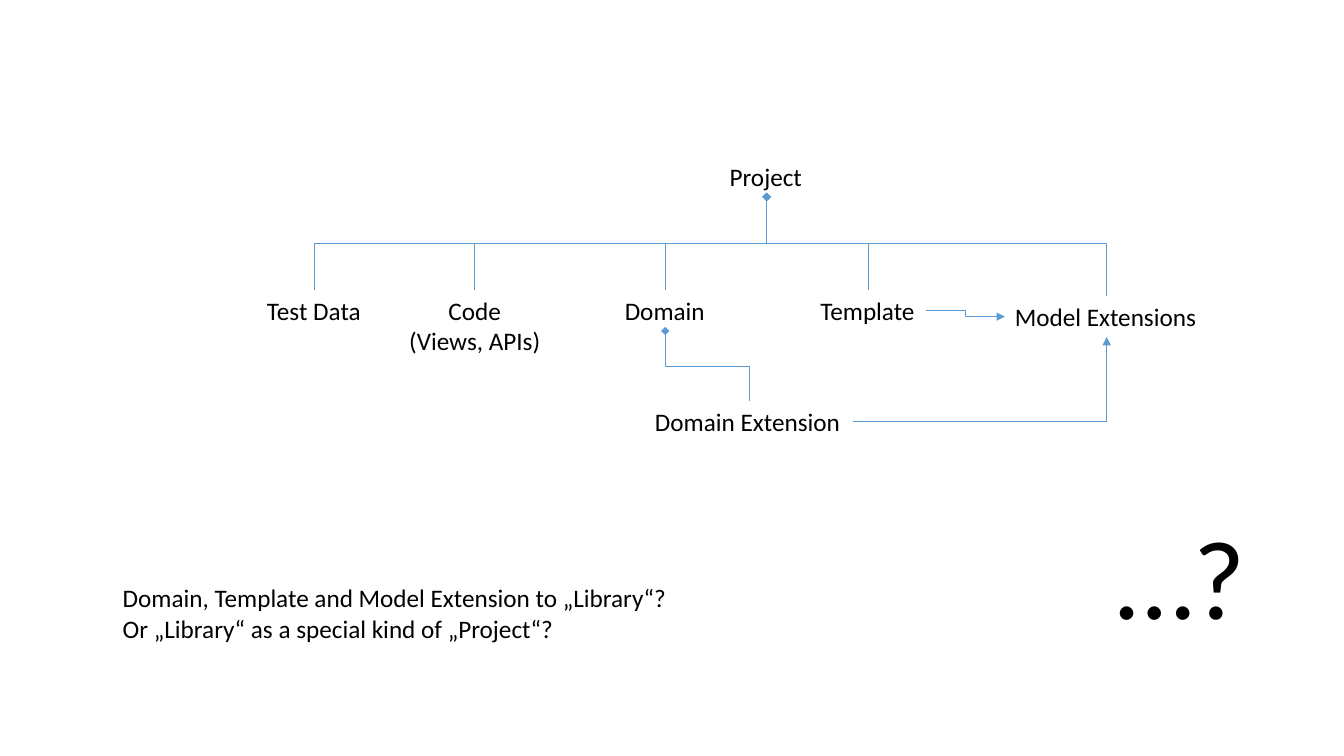
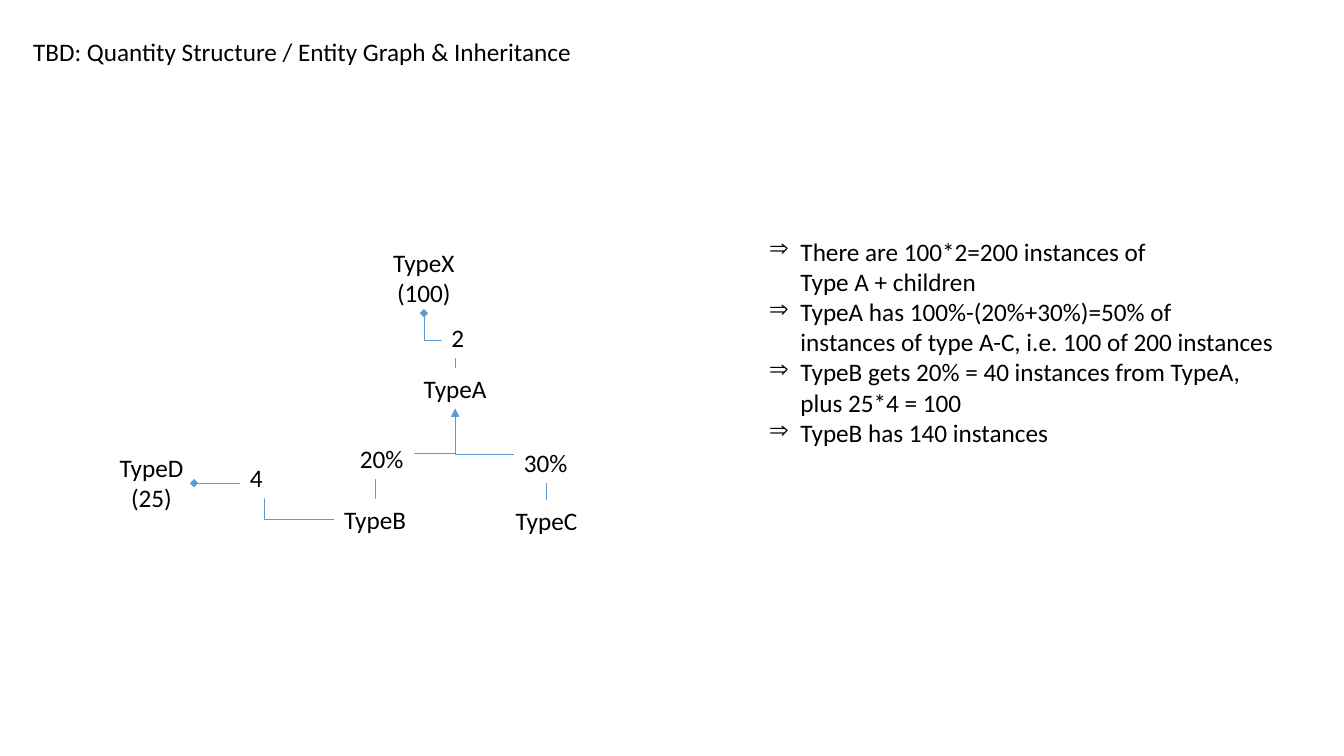
from dataclasses import dataclass
from enum import IntEnum

from pptx import Presentation
from pptx.dml.color import RGBColor
from pptx.enum.shapes import MSO_CONNECTOR
from pptx.enum.text import MSO_AUTO_SIZE, PP_ALIGN
from pptx.oxml.ns import qn
from pptx.util import Pt
from lxml.etree import SubElement


@dataclass(frozen=True)
class Theme:
    font: str = "Calibri"
    ink: RGBColor = RGBColor(0x00, 0x00, 0x00)
    paper: RGBColor = RGBColor(0xFF, 0xFF, 0xFF)
    line: RGBColor = RGBColor(0x5B, 0x9B, 0xD5)
    body_size: float = 18
    huge_size: float = 80
    line_width: float = 0.5
    one_line: float = 29.08
    two_lines: float = 50.9
    bullet: str = "\u21d2"
    bullet_indent: float = 22.5


THEME = Theme()


@dataclass(frozen=True)
class Box:
    left: float
    top: float
    width: float
    height: float = THEME.one_line

    def inside(self, left, top, width, height=THEME.one_line):
        return Box(self.left + left, self.top + top, width, height)


class Side(IntEnum):
    TOP = 0
    LEFT = 1
    BOTTOM = 2
    RIGHT = 3


# Shared parts

def add_bullet(paragraph):
    properties = paragraph._p.get_or_add_pPr()
    indent = Pt(THEME.bullet_indent)
    properties.set("marL", str(indent))
    properties.set("indent", str(-indent))
    SubElement(properties, qn("a:buChar")).set("char", THEME.bullet)


def add_text(slide, box, text, *, size=THEME.body_size, centered=False,
             filled=False, bulleted=False):
    """Each newline starts a paragraph; each vertical tab breaks a line."""
    shape = slide.shapes.add_textbox(
        Pt(box.left), Pt(box.top), Pt(box.width), Pt(box.height))
    if filled:
        shape.fill.solid()
        shape.fill.fore_color.rgb = THEME.paper
    frame = shape.text_frame
    frame.word_wrap = False
    frame.auto_size = MSO_AUTO_SIZE.SHAPE_TO_FIT_TEXT
    frame.text = text
    for paragraph in frame.paragraphs:
        paragraph.alignment = PP_ALIGN.CENTER if centered else PP_ALIGN.LEFT
        if bulleted:
            add_bullet(paragraph)
        for run in paragraph.runs:
            run.font.name = THEME.font
            run.font.size = Pt(size)
            run.font.color.rgb = THEME.ink
    return shape


def turn_vertical(connector):
    """Rotate the elbow so that it leaves its first shape downwards."""
    across = connector.end_x - connector.begin_x
    down = connector.end_y - connector.begin_y
    middle_x = connector.begin_x + across // 2
    middle_y = connector.begin_y + down // 2
    direction = 1 if across > 0 else -1
    connector.begin_x = middle_x + direction * down // 2
    connector.end_x = middle_x - direction * down // 2
    connector.begin_y = middle_y - abs(across) // 2
    connector.end_y = middle_y + abs(across) // 2
    connector.rotation = 270 if across > 0 else 90


def add_elbow(slide, start, end, sides=(Side.BOTTOM, Side.TOP), *,
              head=None, tail=None, bend=0.5):
    connector = slide.shapes.add_connector(MSO_CONNECTOR.ELBOW, 0, 0, 0, 0)
    connector.begin_connect(start, sides[0])
    connector.end_connect(end, sides[1])
    geometry = connector._element.spPr.find(qn("a:prstGeom"))
    if sides == (Side.BOTTOM, Side.TOP):
        turn_vertical(connector)
    if sides == (Side.RIGHT, Side.BOTTOM):
        geometry.set("prst", "bentConnector2")
    elif bend != 0.5:
        guide = SubElement(geometry.find(qn("a:avLst")), qn("a:gd"))
        guide.set("name", "adj1")
        guide.set("fmla", f"val {round(bend * 100000)}")
    connector.line.color.rgb = THEME.line
    connector.line.width = Pt(THEME.line_width)
    outline = connector.line._get_or_add_ln()
    for tag, kind in (("a:headEnd", head), ("a:tailEnd", tail)):
        if kind:
            SubElement(outline, qn(tag)).set("type", kind)
    SubElement(connector._element.spPr, qn("a:effectLst"))
    return connector


# Slide 1: project structure

def build_project_tree(slide, box):
    row = 95.76
    half_gap = (row - THEME.one_line) / 2

    def node(text, left, top, width, **options):
        return add_text(slide, box.inside(left, top, width), text, **options)

    project = node("Project", 330.5, 0, 67)
    test_data = node("Test Data", 0, row, 82)
    code = add_text(slide, box.inside(100.8, row, 109.4, THEME.two_lines),
                    "Code\n(Views, APIs)", centered=True)
    domain = node("Domain", 255.6, row, 72)
    template = node("Template", 395.3, row, 82.8)
    model_extensions = node("Model Extensions", 534.2, row + 4.3, 145.4)
    domain_extension = node("Domain Extension", 277.2, 175, 148.3)

    # All branches turn at the same height
    for child in (test_data, code, domain, template, model_extensions):
        drop = child.top - project.top - project.height
        add_elbow(slide, project, child, head="diamond",
                  bend=Pt(half_gap) / drop)
    add_elbow(slide, domain, domain_extension, head="diamond")
    add_elbow(slide, template, model_extensions,
              (Side.RIGHT, Side.LEFT), tail="triangle")
    add_elbow(slide, domain_extension, model_extensions,
              (Side.RIGHT, Side.BOTTOM), tail="triangle")


def build_open_questions(slide, box):
    add_text(slide, box.inside(0, 53.3, 407.5, THEME.two_lines),
             "Domain, Template and Model Extension to \u201eLibrary\u201c?\n"
             "Or \u201eLibrary\u201c as a special kind of \u201eProject\u201c?")
    add_text(slide, box.inside(box.width - 108, 0, 108, box.height),
             "\u2026?", size=THEME.huge_size)


# Slide 2: quantity structure

def build_entity_graph(slide, box):
    # Entity types
    def entity(text, left, top, width, height=THEME.one_line, filled=False):
        return add_text(slide, box.inside(left, top, width, height), text,
                        centered=True, filled=filled)

    type_d = entity("TypeD\n(25)", 0, 146.9, 60.8, THEME.two_lines)
    type_x = entity("TypeX\n(100)", 195.1, 0, 59.8, THEME.two_lines, True)
    type_a = entity("TypeA", 217.4, 90, 59.8, filled=True)
    type_b = entity("TypeB", 160.6, 183.6, 59)
    type_c = entity("TypeC", 283, 184.3, 59)

    # Composition and inheritance
    add_elbow(slide, type_d, type_b, (Side.RIGHT, Side.LEFT), head="diamond")
    add_elbow(slide, type_x, type_a, head="diamond")
    for subtype in (type_b, type_c):
        add_elbow(slide, type_a, subtype, head="triangle")

    # Quantities cover the lines
    for text, left, top, width in (("20%", 172.1, 140.4, 46),
                                   ("30%", 289.4, 143.3, 46),
                                   ("4", 93.6, 154.1, 23.8),
                                   ("2", 237.6, 54, 23.8)):
        add_text(slide, box.inside(left, top, width), text, filled=True)


def build_conclusions(slide, box):
    add_text(slide, box,
             "There are 100*2=200 instances of \vType A + children\n"
             "TypeA has 100%-(20%+30%)=50% of \v"
             "instances of type A-C, i.e. 100 of 200 instances\n"
             "TypeB gets 20% = 40 instances from TypeA,\vplus 25*4 = 100\n"
             "TypeB has 140 instances",
             filled=True, bulleted=True)


def main():
    presentation = Presentation()
    presentation.slide_width, presentation.slide_height = Pt(960), Pt(540)
    blank = presentation.slide_layouts[6]

    slide = presentation.slides.add_slide(blank)
    build_project_tree(slide, Box(183.6, 111.6, 679.6, 204))
    build_open_questions(slide, Box(80.6, 359.3, 818, 104.4))

    slide = presentation.slides.add_slide(blank)
    add_text(slide, Box(16.6, 22.3, 403.2),
             "TBD: Quantity Structure / Entity Graph & Inheritance")
    build_entity_graph(slide, Box(77.8, 172.8, 342, 213.4))
    build_conclusions(slide, Box(542.2, 164.9, 378.7, 181.4))

    presentation.save("out.pptx")


main()
